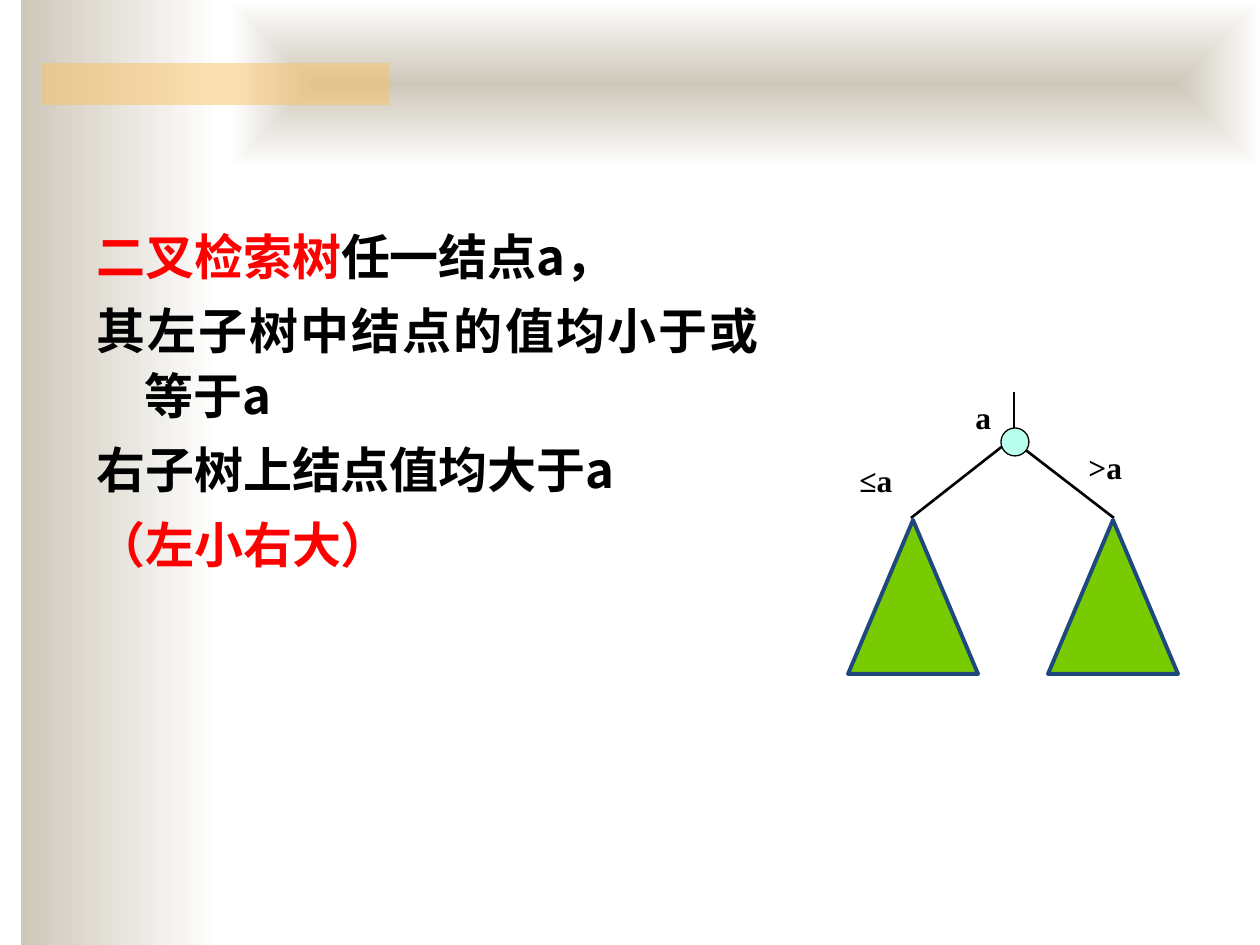
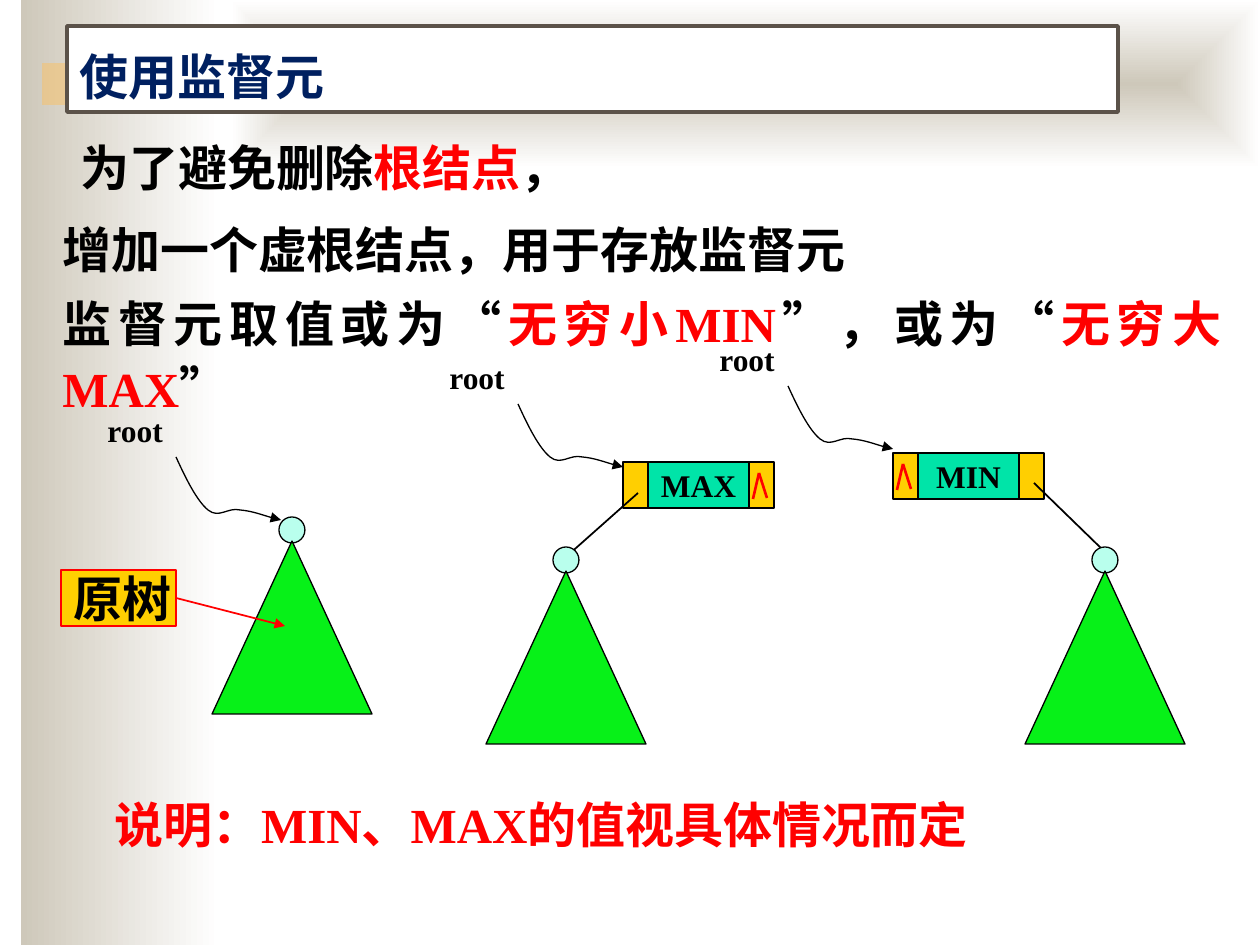
from lxml import etree
from pptx import Presentation
from pptx import util as u
from pptx.dml.color import RGBColor
from pptx.enum import shapes, text
from pptx.oxml.ns import qn

BLACK = RGBColor(0, 0, 0)
WHITE = RGBColor(255, 255, 255)
RED = RGBColor(255, 0, 0)
NAVY = RGBColor(0x00, 0x20, 0x60)
BROWN = RGBColor(0x5B, 0x52, 0x49)
SAND = RGBColor(0xCE, 0xC8, 0xBA)
ORANGE = RGBColor(0xFA, 0xC1, 0x64)
AQUA = RGBColor(0xB9, 0xFF, 0xED)
LEAF = RGBColor(0x79, 0xCB, 0x01)
BLUE = RGBColor(0x1F, 0x49, 0x7D)
GREEN = RGBColor(0x07, 0xF1, 0x18)
TEAL = RGBColor(0x00, 0xE4, 0xA8)
GOLD = RGBColor(0xFF, 0xCF, 0x01)

SERIF, CJK, TITLE_FONT = "Times New Roman", "Noto Sans CJK SC", "Cabin"
SCALE = 914400 / 126  # EMU per px
RECT = shapes.MSO_SHAPE.RECTANGLE
OVAL = shapes.MSO_SHAPE.OVAL
TRIANGLE = shapes.MSO_SHAPE.ISOSCELES_TRIANGLE
JUSTIFY, CENTER, LEFT = (text.PP_ALIGN.JUSTIFY, text.PP_ALIGN.CENTER,
                         text.PP_ALIGN.LEFT)

# Each paragraph is a list of (text, colour) runs.
DEFINITION = [
    [("二叉检索树", RED), ("任一结点a，", BLACK)],
    [("其左子树中结点的值均小于或等于a", BLACK)],
    [("右子树上结点值均大于a", BLACK)],
    [("（左小右大）", RED)],
]
NODE_LABELS = [("a", (963, 386, 69, 72)), ("≤a", (847, 449, 127, 72)),
               (">a", (1076, 436, 110, 72))]
BRANCHES = [((1014, 441), (1114, 518)), ((1013, 438), (911, 518)),
            ((1014, 392), (1014, 428))]
SUBTREES_X = (848, 1048)

TITLE = "使用监督元"
PURPOSE = [[("为了避免删除", BLACK), ("根结点", RED), ("，", BLACK)]]
SENTINEL_RULE = [
    [("增加一个虚根结点，用于存放监督元", BLACK)],
    [("监督元取值或为“", BLACK), ("无穷小MIN", RED), ("”，或为“", BLACK),
     ("无穷大MAX", RED), ("”", BLACK)],
]
REMARK = [[("说明：MIN、MAX的值视具体情况而定", RED)]]
ROOT_CURVE = [(10, 22), (21, 44), (32, 53), (43, 62), (52, 50), (64, 53),
              (76, 54), (98, 62), (105, 63)]
CELL_WIDTHS, CELL_HEIGHT = (25, 101, 25), 46
TREES = [
    dict(pointer=(176, 457), tree=(212, 541)),
    dict(pointer=(518, 404), tree=(486, 571), key="MAX", cells=(623, 462),
         null_cell=2, link=((638, 493), (567, 556))),
    dict(pointer=(788, 386), tree=(1025, 571), key="MIN", cells=(893, 453),
         null_cell=0, link=((1034, 483), (1105, 552))),
]


def px(*values):
    return [u.Emu(round(v * SCALE)) for v in values]


def set_all(target, values):
    for name, value in values.items():
        setattr(target, name, value)


def draw_line(sp, color, width, arrow=False):
    sp.line.color.rgb = color
    sp.line.width = u.Pt(width)
    if arrow:
        ln = sp.element.find(".//" + qn("a:ln"))
        etree.SubElement(ln, qn("a:tailEnd"), type="triangle")


def add_shape(parent, kind, at, fill=None, line=None, width=0.75):
    sp = parent.add_shape(kind, *px(*at))
    sp.shadow.inherit = False
    if fill is not None:
        sp.fill.solid()
        sp.fill.fore_color.rgb = fill
    if line is None:
        sp.line.fill.background()
    else:
        draw_line(sp, line, width)
    return sp


def add_line(parent, start, end, color, width, arrow=False):
    sp = parent.add_connector(shapes.MSO_CONNECTOR.STRAIGHT,
                              *px(*start, *end))
    draw_line(sp, color, width, arrow)
    etree.SubElement(sp.element.spPr, qn("a:effectLst"))


def write(tf, paragraphs, size=28, font=SERIF, hanging=0, **fmt):
    for i, runs in enumerate(paragraphs):
        p = tf.add_paragraph() if i else tf.paragraphs[0]
        set_all(p, fmt)
        if hanging:
            pPr = p._p.get_or_add_pPr()
            pPr.set("marL", str(px(hanging)[0]))
            pPr.set("indent", str(px(-hanging)[0]))
        for words, color in runs:
            r = p.add_run()
            r.text = words
            set_all(r.font, dict(size=u.Pt(size), bold=True, name=font))
            r.font.color.rgb = color
            etree.SubElement(r.font._element, qn("a:ea"), typeface=CJK)


def add_text(parent, at, paragraphs, **fmt):
    tf = parent.add_textbox(*px(*at)).text_frame
    tf.word_wrap = True
    write(tf, paragraphs, **fmt)


def add_boxed_text(parent, at, words, fill, line, width, size, align):
    tf = add_shape(parent, RECT, at, fill, line, width).text_frame
    set_all(tf, dict(word_wrap=False,
                     vertical_anchor=text.MSO_ANCHOR.MIDDLE))
    write(tf, [[(words, BLACK)]], size=size, alignment=align)


def add_master_bands(prs, s):
    """Build the background bands on a slide, then move them to the master."""
    side = add_shape(s.shapes, RECT, (21, 0, 199, 945))
    top = add_shape(s.shapes, RECT, (231, 0, 1029, 168))
    for band in (side, top):
        band.fill.gradient()
        band.fill.gradient_angle = 0
        for stop, color in zip(band.fill.gradient_stops, (SAND, WHITE)):
            stop.color.rgb = color
    lin = top.element.find(".//" + qn("a:lin"))
    radial = etree.Element(qn("a:path"), path="shape")
    etree.SubElement(radial, qn("a:fillToRect"),
                     {edge: "50000" for edge in "ltrb"})
    lin.getparent().replace(lin, radial)

    accent = add_shape(s.shapes, RECT, (42, 63, 347, 42), ORANGE)
    etree.SubElement(accent.element.find(".//" + qn("a:srgbClr")),
                     qn("a:alpha"), val="50000")
    for i, band in enumerate((side, top, accent)):
        prs.slide_master.shapes.element.insert(2 + i, band.element)


def add_root_pointer(parent, x, y):
    add_text(parent, (x - 81, y - 52, 105, 64), [[("root", BLACK)]], size=18,
             alignment=JUSTIFY, space_before=u.Pt(3.6))
    builder = parent.build_freeform(0, 0, scale=SCALE)
    builder.add_line_segments(ROOT_CURVE, close=False)
    sp = builder.convert_to_shape(*px(x, y))
    segments = sp.element.findall(".//" + qn("a:lnTo"))
    outline = segments[0].getparent()
    for i in range(0, len(segments), 3):
        bezier = etree.SubElement(outline, qn("a:cubicBezTo"))
        for segment in segments[i:i + 3]:
            bezier.append(segment[0])
            outline.remove(segment)
    sp.shadow.inherit = False
    sp.fill.background()
    draw_line(sp, BLACK, 0.75, arrow=True)


def add_sentinel(parent, key, cells, null_cell, link):
    x, y = cells
    for i, width in enumerate(CELL_WIDTHS):
        at = (x, y, width, CELL_HEIGHT)
        if i == 1:
            add_boxed_text(parent, at, key, TEAL, BLACK, 0.75, 18, CENTER)
        else:
            add_shape(parent, RECT, at, GOLD, BLACK)
        if i == null_cell:
            apex = (x + 10, y + 11)
            for dx, dy in ((-6, 26), (8, 25)):
                add_line(parent, apex, (apex[0] + dx, apex[1] + dy), RED, 1.5)
        x += width
    add_line(parent, *link, BLACK, 1)


def add_tree(parent, x, y):
    add_shape(parent, OVAL, (x + 67, y - 24, 26, 26), AQUA, BLACK)
    add_shape(parent, TRIANGLE, (x, y, 160, 173), GREEN, BLACK)


def build_definition(s):
    add_text(s.shapes, (84, 214, 687, 481), DEFINITION, font=CJK, hanging=48,
             alignment=JUSTIFY, line_spacing=1.1, space_before=u.Pt(5.6))
    diagram = s.shapes.add_group_shape().shapes
    for start, end in BRANCHES:
        add_line(diagram, start, end, BLACK, 1.5)
    add_shape(diagram, OVAL, (1001, 428, 28, 28), AQUA, BLACK)
    for words, at in NODE_LABELS:
        add_text(diagram, at, [[(words, BLACK)]], size=18, alignment=JUSTIFY,
                 line_spacing=1.15)
    for x in SUBTREES_X:
        add_shape(diagram, TRIANGLE, (x, 520, 130, 154), LEAF, BLUE, 2.25)


def build_sentinels(s):
    title = s.shapes.title
    set_all(title, dict(zip(("left", "top", "width", "height"),
                            px(67, 26, 1051, 86))))
    title.fill.solid()
    title.fill.fore_color.rgb = WHITE
    draw_line(title, BROWN, 2)
    set_all(title.text_frame, dict(vertical_anchor=text.MSO_ANCHOR.BOTTOM,
                                   auto_size=text.MSO_AUTO_SIZE.NONE))
    write(title.text_frame, [[(TITLE, NAVY)]], font=TITLE_FONT,
          alignment=LEFT)

    add_text(s.shapes, (68, 131, 784, 76), PURPOSE, space_before=u.Pt(4.2))
    add_text(s.shapes, (50, 207, 1184, 165), SENTINEL_RULE,
             alignment=JUSTIFY, line_spacing=1.1, space_before=u.Pt(5.6))
    for spec_row in TREES:
        group = s.shapes.add_group_shape().shapes
        add_root_pointer(group, *spec_row["pointer"])
        if "key" in spec_row:
            add_sentinel(group, *(spec_row[name] for name in
                                  ("key", "cells", "null_cell", "link")))
        add_tree(group, *spec_row["tree"])
        if "key" not in spec_row:
            add_boxed_text(group, (61, 570, 115, 56), "原树", GOLD, RED, 1,
                           28, LEFT)
            add_line(group, (176, 598), (285, 626), RED, 1, arrow=True)
    add_text(s.shapes, (102, 788, 983, 97), REMARK, alignment=JUSTIFY,
             space_before=u.Pt(2.8))


def main():
    prs = Presentation()
    prs.slide_width, prs.slide_height = px(1260, 945)
    title_only, blank = prs.slide_layouts[5], prs.slide_layouts[6]
    first = prs.slides.add_slide(blank)
    add_master_bands(prs, first)
    build_definition(first)
    build_sentinels(prs.slides.add_slide(title_only))
    prs.save("out.pptx")


if __name__ == "__main__":
    main()
